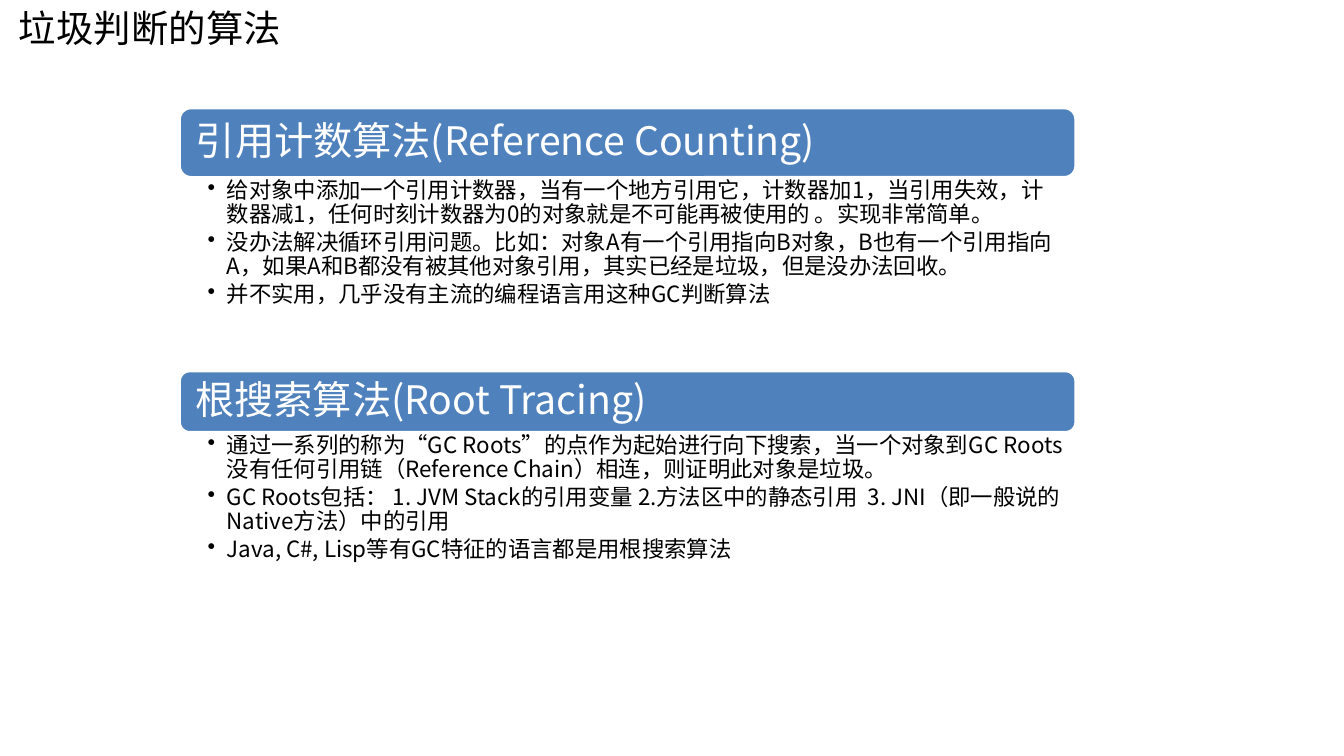
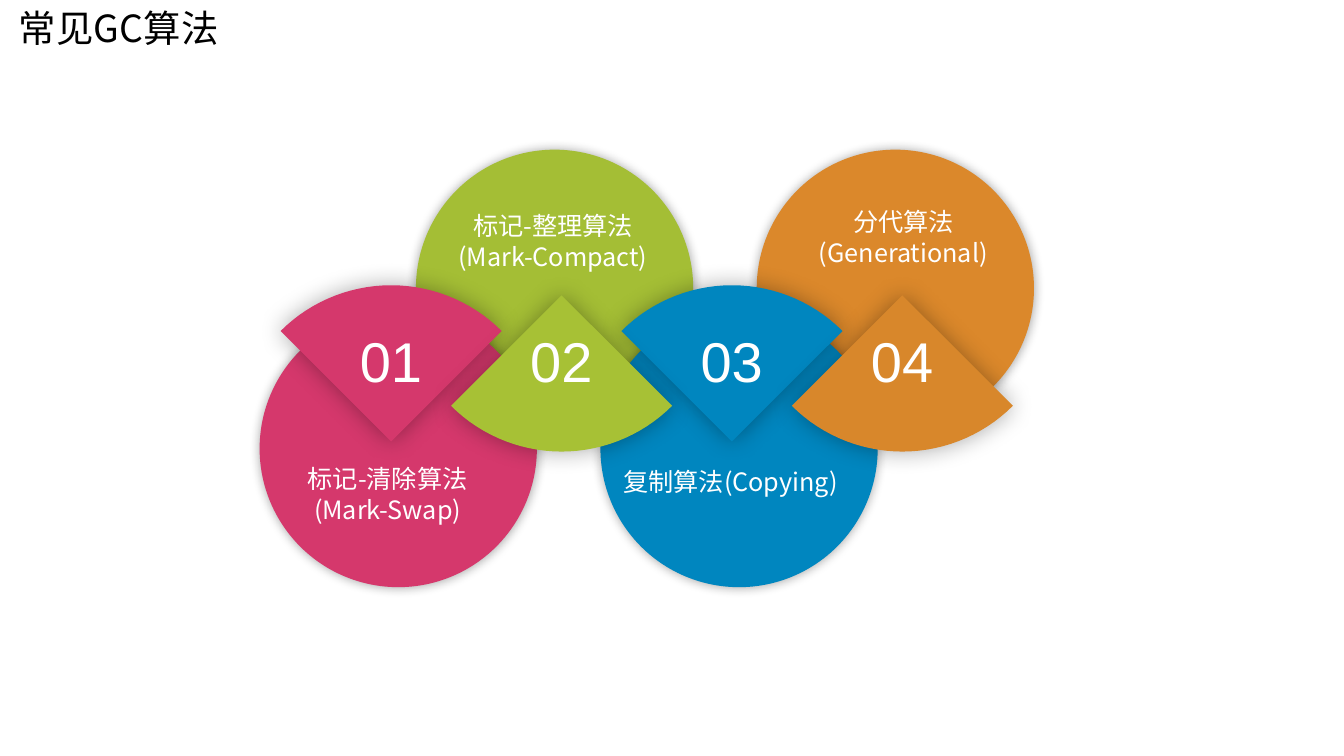
from dataclasses import dataclass
from math import cos, radians, sin

from lxml.etree import SubElement
from pptx import Presentation
from pptx.dml.color import RGBColor
from pptx.enum.shapes import MSO_SHAPE
from pptx.enum.text import MSO_ANCHOR, MSO_AUTO_SIZE, PP_ALIGN
from pptx.oxml.ns import qn
from pptx.util import Inches, Pt


@dataclass(frozen=True)
class Theme:
    """Colours, fonts and type sizes of the deck."""
    black: str = "000000"
    white: str = "FFFFFF"
    bar: str = "4F81BD"
    discs: tuple = ("D5386C", "A4BE35", "0086BF", "DB882B")
    fans: tuple = ("D5386C", "A7C135", "0086BF", "D8872B")
    sans: str = "Noto Sans CJK SC"
    digit: str = "Arial"
    title: float = 26.7
    head: float = 28
    body: float = 16
    label: float = 18
    number: float = 40


THEME = Theme()

TOPICS = [
    (1.07, 0.69, "引用计数算法(Reference Counting)", [
        "给对象中添加一个引用计数器，当有一个地方引用它，计数器加1，当引用失效，计数器减1，任何时刻计数器为0的对象就是不可能再被使用的 。实现非常简单。",
        "没办法解决循环引用问题。比如：对象A有一个引用指向B对象，B也有一个引用指向A，如果A和B都没有被其他对象引用，其实已经是垃圾，但是没办法回收。",
        "并不实用，几乎没有主流的编程语言用这种GC判断算法",
    ]),
    (3.68, 0.61, "根搜索算法(Root Tracing)", [
        "通过一系列的称为“GC Roots”的点作为起始进行向下搜索，当一个对象到GC Roots没有任何引用链（Reference Chain）相连，则证明此对象是垃圾。",
        "GC Roots包括： 1. JVM Stack的引用变量 2.方法区中的静态引用  3. JNI（即一般说的Native方法）中的引用",
        "Java, C#, Lisp等有GC特征的语言都是用根搜索算法",
    ]),
]

LABELS = [
    ((2.93, 4.55, 1.83, 0.71), ["标记-清除算法", "(Mark-Swap)"]),
    ((4.4, 2.04, 2.17, 0.71), ["标记-整理算法", "(Mark-Compact)"]),
    ((6.05, 4.58, 2.39, 0.4), ["复制算法(Copying)"]),
    ((8, 2, 1.92, 0.71), ["分代算法", "(Generational)"]),
]


def write(shape, lines, size, color=THEME.white, font=THEME.sans, align=PP_ALIGN.LEFT,
          wrap=True, grow=False, inset=(0.1, 0.05, 0.1, 0.05), anchor=MSO_ANCHOR.TOP,
          space=None, after=0, bullet=False):
    """Fill a shape with one formatted paragraph per line."""
    frame = shape.text_frame
    frame.word_wrap = wrap
    frame.auto_size = MSO_AUTO_SIZE.SHAPE_TO_FIT_TEXT if grow else MSO_AUTO_SIZE.NONE
    frame.vertical_anchor = anchor
    (frame.margin_left, frame.margin_top,
     frame.margin_right, frame.margin_bottom) = map(Inches, inset)
    for i, line in enumerate(lines):
        para = frame.add_paragraph() if i else frame.paragraphs[0]
        para.alignment = align
        para.line_spacing = space
        para.space_after = Pt(after)
        if bullet:
            props = para._p.get_or_add_pPr()
            props.set("marL", str(Inches(0.19)))
            props.set("indent", str(Inches(-0.19)))
            SubElement(props, qn("a:buChar"), char="•")
        run = para.add_run()
        run.text = line
        run.font.size = Pt(size)
        run.font.color.rgb = RGBColor.from_string(color)
        run.font.name = font
        SubElement(run._r.get_or_add_rPr(), qn("a:ea"), typeface=font)


def add_text(slide, box, lines, size, **style):
    """Add a text box at left, top, width, height."""
    write(slide.shapes.add_textbox(*map(Inches, box)), lines, size, **style)


def paint(shape, color, blur=0, alpha=0):
    """Give a shape a plain fill and, if asked, a soft shadow."""
    shape.fill.solid()
    shape.fill.fore_color.rgb = RGBColor.from_string(color)
    shape.line.fill.background()
    shape.shadow.inherit = False
    if blur:
        glow = SubElement(shape._element.spPr.find(qn("a:effectLst")), qn("a:outerShdw"),
                          blurRad=str(Pt(blur)), dist="0", dir="0",
                          algn="ctr", rotWithShape="0")
        tint = SubElement(glow, qn("a:srgbClr"), val=THEME.black)
        SubElement(tint, qn("a:alpha"), val=str(alpha * 1000))


def add_page(deck, title):
    """Add a blank slide with its title."""
    slide = deck.slides.add_slide(deck.slide_layouts[6])
    add_text(slide, (0.09, 0, 4.93, 0.55), [title], THEME.title,
             color=THEME.black, grow=True)
    return slide


def add_topic(slide, top, height, head, points):
    """Add a heading bar with its bullet list below."""
    left, width = 1.78, 8.89
    bar = slide.shapes.add_shape(MSO_SHAPE.ROUNDED_RECTANGLE,
                                 *map(Inches, (left, top, width, height)))
    paint(bar, THEME.bar)
    bar.line.color.rgb = RGBColor.from_string(THEME.white)
    bar.line.width = Pt(2)
    write(bar, [head], THEME.head, anchor=MSO_ANCHOR.MIDDLE, space=0.9,
          inset=(0.13, 0.12, 0.13, 0.12))
    add_text(slide, (left, top + height, width, 1.92), points, THEME.body,
             color=THEME.black, inset=(0.28, 0.02, 0.12, 0.02),
             space=0.9, after=2.6, bullet=True)


def add_disc(slide, x, y, color):
    """Add a round disc centred on a point."""
    size = 2.75
    disc = slide.shapes.add_shape(
        MSO_SHAPE.OVAL, *map(Inches, (x - size / 2, y - size / 2, size, size)))
    paint(disc, color, blur=8, alpha=34)


def add_fan(slide, x, y, side, color):
    """Add a quarter fan that opens up (side 1) or down (side -1)."""
    reach = 1.55
    turns = [radians(a) for a in range(45, 136, 3)]
    rim = [(Inches(x + reach * cos(t)), Inches(y - side * reach * sin(t)))
           for t in turns]
    path = slide.shapes.build_freeform(Inches(x), Inches(y))
    path.add_line_segments(rim, close=True)
    paint(path.convert_to_shape(), color, blur=17, alpha=32)


def add_fans(slide):
    """Draw the chain of numbered discs and fans."""
    tips = [(3.88 + 1.69 * i, 2.93 if i % 2 else 4.38, -1 if i % 2 else 1)
            for i in range(4)]
    for i in (1, 3, 0, 2):
        x, y, side = tips[i]
        add_disc(slide, x + 0.07 * side, y + 0.07 * side, THEME.discs[i])
    for i in (0, 2, 1, 3):
        add_fan(slide, *tips[i], THEME.fans[i])
    for i, (x, _, _) in enumerate(tips):
        add_text(slide, (x - 0.41, 3.19, 0.83, 0.77), [f"{i + 1:02}"], THEME.number,
                 font=THEME.digit, wrap=False, grow=True)
    for box, lines in LABELS:
        add_text(slide, box, lines, THEME.label, align=PP_ALIGN.CENTER, grow=True)


def main():
    """Build and save the deck."""
    deck = Presentation()
    deck.slide_width, deck.slide_height = Inches(13.33), Inches(7.5)
    slide = add_page(deck, "垃圾判断的算法")
    for topic in TOPICS:
        add_topic(slide, *topic)
    add_fans(add_page(deck, "常见GC算法"))
    deck.save("out.pptx")


if __name__ == "__main__":
    main()
